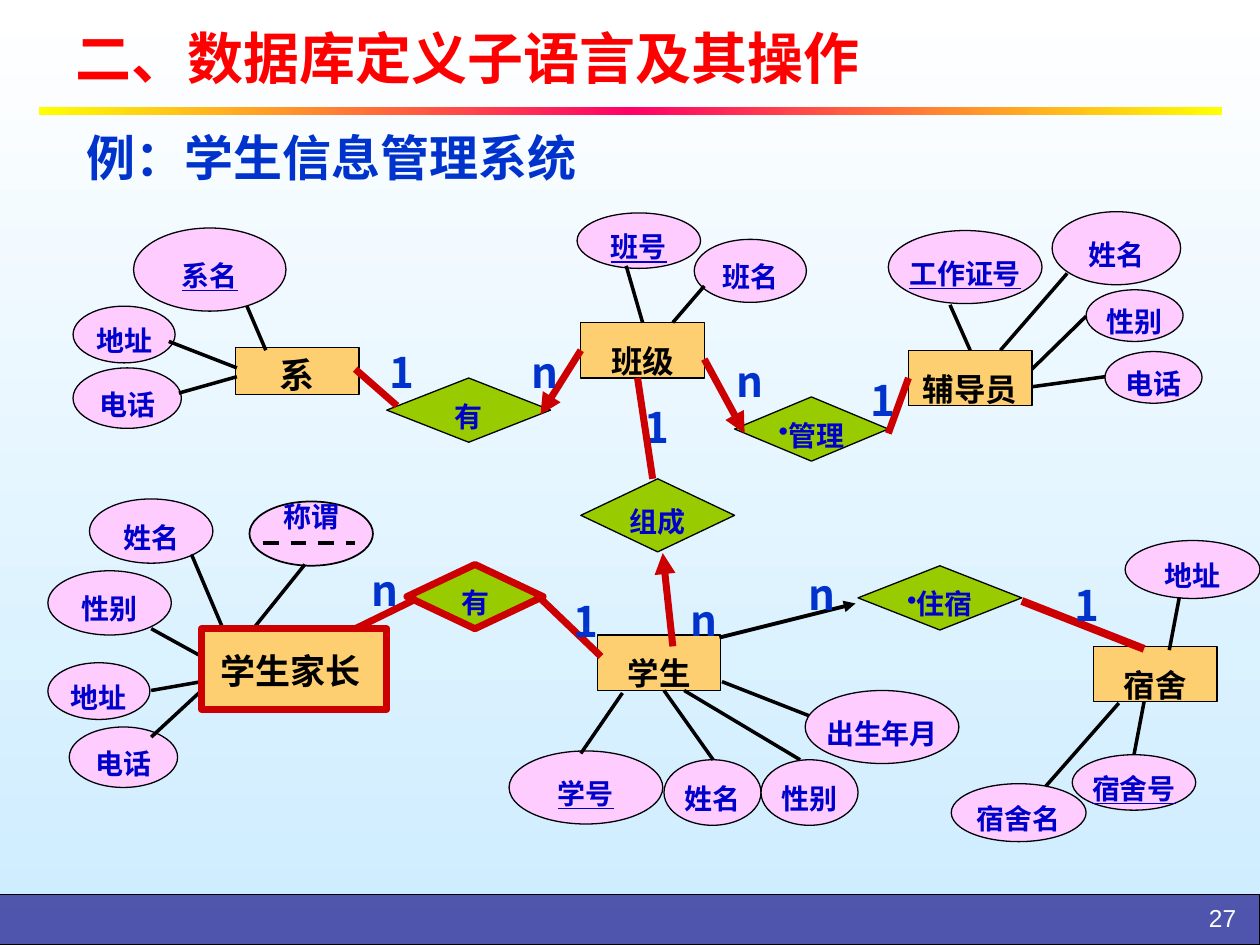
from copy import deepcopy

from lxml import etree
from pptx import Presentation, util as u
from pptx.dml.color import RGBColor
from pptx.enum import dml, shapes, text
from pptx.oxml.ns import qn

BLACK = RGBColor(0, 0, 0)
WHITE = RGBColor(255, 255, 255)
SKY = RGBColor(0xCC, 0xEC, 0xFF)
NAVY = RGBColor(0x33, 0x33, 0x99)
YELLOW = RGBColor(255, 255, 0)
PINK = RGBColor(255, 0, 0x66)
RED = RGBColor(255, 0, 0)
CRIMSON = RGBColor(0xCC, 0, 0)
BLUE = RGBColor(0, 0x33, 0xCC)
INK = RGBColor(0, 0, 0xCC)
LILAC = RGBColor(255, 0xCC, 255)
AMBER = RGBColor(0xFE, 0xCF, 0x70)
GREEN = RGBColor(0x99, 0xCC, 0)
CJK = "Noto Sans CJK SC"
SHAPE = shapes.MSO_SHAPE
ALIGN = text.PP_ALIGN
MIDDLE = text.MSO_ANCHOR.MIDDLE


class ERSlide:
    """Draws entity-relationship elements on one slide in a shared style."""

    def __init__(self, prs):
        self.s = prs.slides.add_slide(prs.slide_layouts[6])
        self.entities = []

    def background(self, *colors):
        fill = self.s.background.fill
        fill.gradient()
        fill.gradient_angle = 270
        for stop, color, pos in zip(fill.gradient_stops, colors, (0, 1)):
            stop.color.rgb, stop.position = color, pos

    def shape(self, kind, box, fill, line=BLACK, width=0.75):
        sp = self.s.shapes.add_shape(kind, *map(u.Inches, box))
        sp.shadow.inherit = False
        sp.fill.solid()
        sp.fill.fore_color.rgb = fill
        sp.line.color.rgb = line
        sp.line.width = u.Pt(width)
        return sp

    def footer(self, box):
        sp = self.shape(SHAPE.RECTANGLE, box, NAVY)
        color = sp.element.spPr.find(qn("a:solidFill")).find(qn("a:srgbClr"))
        etree.SubElement(color, qn("a:alpha"), val="81000")

    def rule(self, box, colors):
        sp = self.shape(SHAPE.RECTANGLE, box, WHITE)
        sp.line.fill.background()
        sp.fill.gradient()
        sp.fill.gradient_angle = 0
        stops = sp.element.spPr.find(qn("a:gradFill")).find(qn("a:gsLst"))
        stops.append(deepcopy(stops[-1]))
        for i, (stop, color) in enumerate(zip(sp.fill.gradient_stops, colors)):
            stop.color.rgb, stop.position = color, i / (len(colors) - 1)

    def caption(self, sp, words, size, color, spacing=1.35, align=ALIGN.CENTER,
                anchor=text.MSO_ANCHOR.TOP, wrap=True, font=CJK, bullet=False, **fmt):
        tf = sp.text_frame
        tf.word_wrap, tf.vertical_anchor = wrap, anchor
        p = tf.paragraphs[0]
        if bullet:
            etree.SubElement(p._p.get_or_add_pPr(), qn("a:buChar"), char="•")
        p.alignment, p.line_spacing = align, spacing
        r = p.add_run()
        r.text = words
        for key, value in {"name": font, "size": u.Pt(size), "bold": True, **fmt}.items():
            setattr(r.font, key, value)
        r.font.color.rgb = color
        etree.SubElement(r._r.get_or_add_rPr(), qn("a:ea"), typeface=CJK)

    def entity(self, words, box, size=18, spacing=1.35, **line):
        sp = self.shape(SHAPE.RECTANGLE, box, AMBER, **line)
        self.caption(sp, words, size, BLACK, spacing)
        self.entities.append((sp, box))

    def attribute(self, words, box, key=False):
        sp = self.shape(SHAPE.OVAL, box, LILAC)
        self.caption(sp, words, 16, INK, anchor=MIDDLE, wrap=False, underline=key)

    def partial_key(self, words, box):
        sp = self.shape(SHAPE.OVAL, box, LILAC, width=1)
        sp.text_frame.margin_top, sp.text_frame.margin_bottom = 0, u.Inches(0.27)
        self.caption(sp, words, 16, INK, 1.0, anchor=MIDDLE, wrap=False)

    def relation(self, words, box, bullet=False, **line):
        sp = self.shape(SHAPE.DIAMOND, box, GREEN, **line)
        self.caption(sp, words, 16, INK, anchor=MIDDLE, wrap=False, bullet=bullet)

    def textbox(self, words, box, size, color, **fmt):
        sp = self.s.shapes.add_textbox(*map(u.Inches, box))
        self.caption(sp, words, size, color, **{"align": ALIGN.LEFT, **fmt})

    def cardinality(self, words, x, y):
        self.textbox(words, (x, y, 0.37, 0.57), 24, BLUE, wrap=False)

    def line(self, x1, y1, x2, y2, color=BLACK, width=2, arrow=False, dash=False):
        cx = self.s.shapes.add_connector(
            shapes.MSO_CONNECTOR.STRAIGHT, *map(u.Inches, (x1, y1, x2, y2)))
        cx.line.color.rgb = color
        cx.line.width = u.Pt(width)
        if dash:
            cx.line.dash_style = dml.MSO_LINE.DASH
        if arrow:
            etree.SubElement(cx.line._get_or_add_ln(), qn("a:tailEnd"), type="triangle")
        etree.SubElement(cx._element.spPr, qn("a:effectLst"))
        for sp, (x, y, w, h) in self.entities:
            sides = (x + w / 2, y), (x, y + h / 2), (x + w / 2, y + h), (x + w, y + h / 2)
            for i, (sx, sy) in enumerate(sides):
                for px, py, join in ((x1, y1, cx.begin_connect), (x2, y2, cx.end_connect)):
                    if max(abs(px - sx), abs(py - sy)) < 0.01:
                        join(sp, i)


ENTITIES = [
    ("辅导员", (7.21, 2.78, 0.98, 0.44)), ("班级", (4.61, 2.56, 0.98, 0.44)),
    ("学生", (4.74, 5.04, 0.98, 0.44)), ("宿舍", (8.68, 5.13, 0.98, 0.44)),
]
ATTRIBUTES = [
    ("电话", (0.58, 2.92, 0.86, 0.48)), ("系名", (1.06, 1.81, 1.21, 0.66), True),
    ("地址", (0.58, 2.43, 0.81, 0.45)), ("性别", (8.62, 2.3, 0.77, 0.41)),
    ("工作证号", (7.05, 1.83, 1.22, 0.58), True), ("姓名", (8.35, 1.68, 1.02, 0.58)),
    ("电话", (8.77, 2.79, 0.77, 0.41)), ("班名", (5.51, 1.9, 0.89, 0.5)),
    ("班号", (4.58, 1.69, 0.98, 0.44), True), ("出生年月", (6.39, 5.48, 1.22, 0.58)),
    ("学号", (4.04, 5.96, 1.22, 0.58), True), ("姓名", (5.27, 6.03, 0.77, 0.52)),
    ("性别", (6.04, 6.03, 0.77, 0.52)), ("宿舍号", (8.51, 5.99, 0.98, 0.44), True),
    ("电话", (0.55, 5.77, 0.86, 0.48)), ("姓名", (0.71, 3.96, 0.98, 0.51)),
    ("地址", (0.38, 5.26, 0.81, 0.45)), ("性别", (0.38, 4.53, 0.98, 0.51)),
    ("宿舍名", (7.55, 6.22, 1.07, 0.46)), ("地址", (8.93, 4.29, 1.07, 0.46)),
]
RELATIONS = [
    ("组成", (4.61, 3.8, 1.22, 0.58)), ("有", (3.07, 3, 1.3, 0.51)),
    ("管理", (5.83, 3.15, 1.22, 0.51), True), ("住宿", (6.81, 4.49, 1.3, 0.51), True),
]
ATTRIBUTE_LINES = [
    (1.88, 2.99, 1.42, 3.12), (1.96, 2.43, 2.11, 2.78), (1.88, 2.92, 1.34, 2.71),
    (7.54, 2.42, 7.7, 2.78), (8.62, 2.51, 8.19, 2.93), (8.47, 2.17, 7.94, 2.78),
    (8.77, 2.99, 8.19, 3.07), (5.34, 2.56, 5.59, 2.27), (5.1, 2.56, 4.97, 2.11),
    (5.73, 5.41, 6.42, 5.68), (5.27, 5.48, 5.66, 6.03), (5.43, 5.48, 6.35, 6.03),
    (4.94, 5.5, 4.61, 5.98), (9, 5.99, 9.08, 5.57), (2.42, 4.48, 2.01, 4.99),
    (1.6, 5.21, 1.2, 4.99), (1.6, 5.48, 1.2, 5.85), (1.52, 4.4, 1.77, 4.99),
    (1.2, 5.48, 1.6, 5.41), (8.3, 6.24, 8.88, 5.58), (9.28, 5.16, 9.36, 4.74),
]
RELATION_LINES = [
    (5.18, 3.8, 5.06, 3), (2.82, 2.93, 3.15, 3.22), (7.21, 3, 7.05, 3.44),
    (4.29, 4.75, 4.77, 5.21), (3.31, 4.75, 2.82, 4.99),
]
RELATION_ARROWS = [
    (5.34, 5.13, 5.26, 4.39), (4.61, 2.78, 4.29, 3.29), (5.59, 2.85, 5.91, 3.44),
]
CARDINALITIES = [
    ("n", 5.38, 4.53), ("1", 2.99, 2.56), ("n", 4.12, 2.56), ("1", 6.81, 2.78),
    ("n", 5.75, 2.63), ("n", 6.32, 4.32), ("1", 8.43, 4.41), ("n", 2.85, 4.29),
    ("1", 4.45, 4.54),
]


def main():
    prs = Presentation()
    prs.slide_width, prs.slide_height = u.Inches(10), u.Inches(7.5)
    s = ERSlide(prs)
    s.background(WHITE, SKY)
    s.footer((-0.01, 7.1, 10.01, 0.4))
    s.rule((0.31, 0.85, 9.39, 0.06), (YELLOW, PINK, YELLOW))
    s.textbox("27", (8.94, 7.12, 0.97, 0.3), 14, WHITE, spacing=1.0,
              align=ALIGN.RIGHT, font="Arial", bold=False)
    s.textbox("二、数据库定义子语言及其操作", (0.5, 0.07, 9, 0.76), 32, RED,
              spacing=1.0, anchor=MIDDLE, font="Arial")
    s.textbox("例：学生信息管理系统", (0.59, 0.96, 4.15, 0.57), 28, BLUE,
              spacing=1.0, wrap=False)

    s.cardinality("1", 5.02, 3)
    for item in ATTRIBUTES:
        s.attribute(*item)
    s.partial_key("称谓", (1.98, 3.98, 0.98, 0.51))
    for item in ENTITIES:
        s.entity(*item)
    s.entity("系", (1.87, 2.76, 0.98, 0.37), 20, 1.0)
    for item in RELATIONS:
        s.relation(*item)
    s.relation("有", (3.23, 4.48, 1.08, 0.51), line=CRIMSON, width=4)
    for ends in ATTRIBUTE_LINES:
        s.line(*ends)
    for ends in RELATION_LINES:
        s.line(*ends, CRIMSON, 4)
    for ends in RELATION_ARROWS:
        s.line(*ends, CRIMSON, 4, arrow=True)
    s.line(5.71, 5.06, 6.79, 4.79, width=2.25, arrow=True)
    s.line(8.11, 4.77, 9.08, 5.15, CRIMSON, 4.5)
    s.line(2.09, 4.31, 2.82, 4.31, width=2.25, dash=True)
    s.entity("学生家长 ", (1.6, 4.99, 1.47, 0.64), 20, line=CRIMSON, width=4)
    for item in CARDINALITIES:
        s.cardinality(*item)
    prs.save("out.pptx")


if __name__ == "__main__":
    main()
